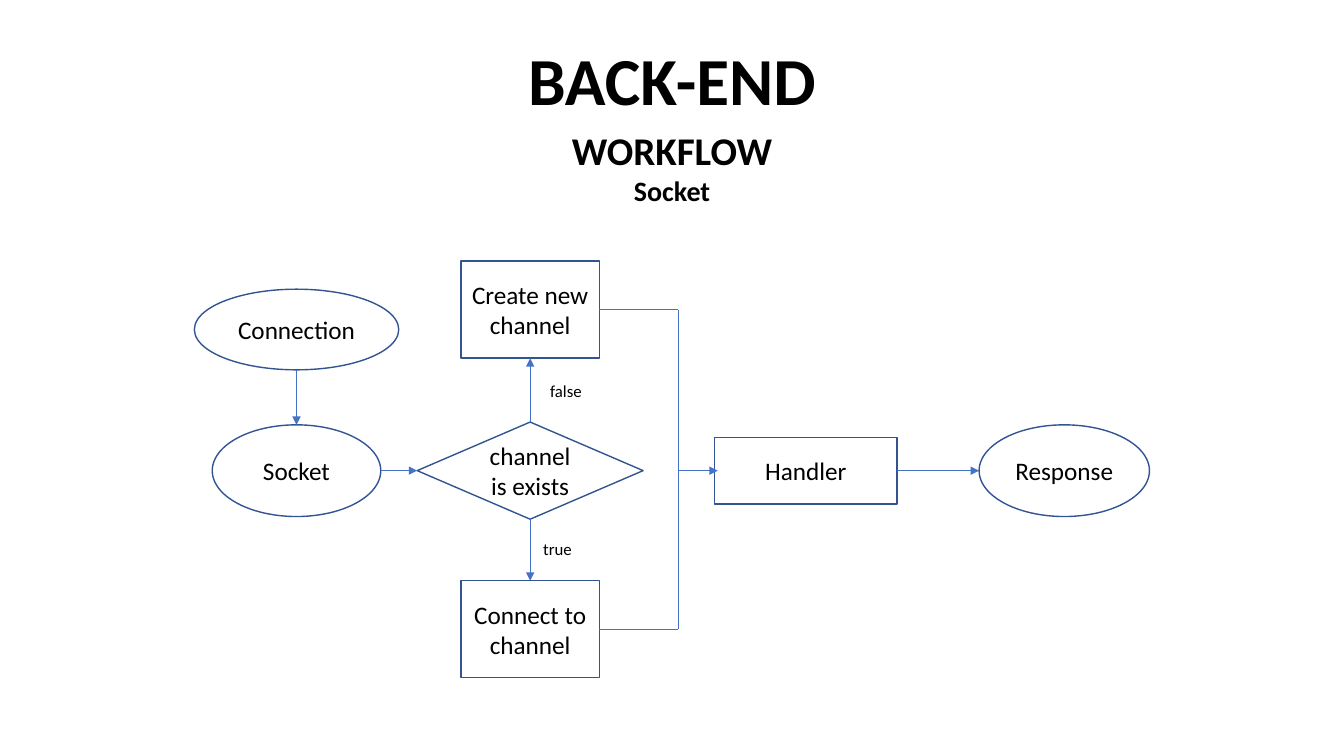
from lxml import etree
from pptx import Presentation
from pptx.dml import color as c
from pptx.enum import shapes, text
from pptx.oxml import ns
from pptx.util import Pt

BLACK = c.RGBColor(0x00, 0x00, 0x00)
OUTLINE = c.RGBColor(0x32, 0x54, 0x91)
ARROW = c.RGBColor(0x44, 0x72, 0xC4)

SLIDE = (960, 540)
OVAL = shapes.MSO_SHAPE.OVAL
BOX = shapes.MSO_SHAPE.RECTANGLE
DIAMOND = shapes.MSO_SHAPE.DIAMOND
CENTER = text.PP_ALIGN.CENTER
LEFT = text.PP_ALIGN.LEFT

HEADINGS = [
    ((37.2, 23.8, 885.6, 65.5), [("BACK-END", 48)]),
    ((223, 86.4, 514, 65.5), [("WORKFLOW", 28), ("Socket", 20)]),
]
BRANCH_LABELS = [
    ((380.9, 381.6, 35.3, 21.6), [("true", 12)]),
    ((385.9, 268.6, 40.3, 21.6), [("false", 12)]),
]
ENTRY_X, CHANNEL_X, HANDLER_X, RESPONSE_X = 211.8, 378.7, 575.7, 760.2
MAIN_Y, CREATE_Y, CONNECT_Y = 336.2, 221.2, 449.5
MERGE_X = 484.6
ARROW_OVERLAP = 2.2

STEPS = {
    "connection": (OVAL, "Connection", ENTRY_X, 235.4, 146, 57.6),
    "socket": (OVAL, "Socket", ENTRY_X, MAIN_Y, 120.4, 65.5),
    "exists": (DIAMOND, "channel is exists", CHANNEL_X, MAIN_Y, 161.4, 69.4),
    "create": (BOX, "Create new channel", CHANNEL_X, CREATE_Y, 98.8, 69.4),
    "connect": (BOX, "Connect to channel", CHANNEL_X, CONNECT_Y, 98.8, 69.4),
    "handler": (BOX, "Handler", HANDLER_X, MAIN_Y, 130.4, 47.6),
    "response": (OVAL, "Response", RESPONSE_X, MAIN_Y, 121.7, 65.5),
}
FLOWS = [
    ("connection", "bottom", "socket", "top"),
    ("socket", "right", "exists", "left"),
    ("exists", "top", "create", "bottom"),
    ("exists", "bottom", "connect", "top"),
    ("handler", "right", "response", "left"),
]
SIDES = {"left": (-0.5, 0), "right": (0.5, 0), "top": (0, -0.5), "bottom": (0, 0.5)}


def edge(step, side):
    x, y, width, height = STEPS[step][2:]
    across, down = SIDES[side]
    return x + across * width, y + down * height


def apply(target, values):
    for name, value in values.items():
        setattr(target, name, value)


def write(frame, lines, bold=False, align=CENTER):
    for index, (words, size) in enumerate(lines):
        paragraph = frame.add_paragraph() if index else frame.paragraphs[0]
        paragraph.alignment = align
        run = paragraph.add_run()
        run.text = words
        apply(run.font, {"name": "Calibri", "size": Pt(size), "bold": bold})
        run.font.color.rgb = BLACK


def add_label(slide, place, lines, wrap, bold, align):
    frame = slide.shapes.add_textbox(*map(Pt, place)).text_frame
    apply(frame, {"word_wrap": wrap, "auto_size": text.MSO_AUTO_SIZE.SHAPE_TO_FIT_TEXT})
    write(frame, lines, bold, align)


def add_step(slide, kind, words, x, y, width, height):
    place = (x - width / 2, y - height / 2, width, height)
    step = slide.shapes.add_shape(kind, *map(Pt, place))
    step.shadow.inherit = False
    step.fill.background()
    step.line.color.rgb = OUTLINE
    step.line.width = Pt(1)
    apply(step.text_frame, {"word_wrap": True, "vertical_anchor": text.MSO_ANCHOR.MIDDLE})
    write(step.text_frame, [(words, 18)])


def add_flow(slide, start, end, arrow=True):
    flow = slide.shapes.add_connector(shapes.MSO_CONNECTOR.STRAIGHT, *map(Pt, start + end))
    flow.line.color.rgb = ARROW
    flow.line.width = Pt(0.5)
    properties = flow.element.spPr
    if arrow:
        line = properties.find(ns.qn("a:ln"))
        etree.SubElement(line, ns.qn("a:tailEnd"), type="triangle")
    etree.SubElement(properties, ns.qn("a:effectLst"))


def main():
    deck = Presentation()
    apply(deck, dict(zip(("slide_width", "slide_height"), map(Pt, SLIDE))))
    slide = deck.slides.add_slide(deck.slide_layouts[6])

    for place, lines in HEADINGS:
        add_label(slide, place, lines, True, True, CENTER)
    for step in STEPS.values():
        add_step(slide, *step)
    for source, exit_side, target, entry_side in FLOWS:
        add_flow(slide, edge(source, exit_side), edge(target, entry_side))
    for place, lines in BRANCH_LABELS:
        add_label(slide, place, lines, False, False, LEFT)

    for source in ("create", "connect"):
        start = edge(source, "right")
        add_flow(slide, start, (MERGE_X, start[1]), arrow=False)
    add_flow(slide, (MERGE_X, CREATE_Y), (MERGE_X, CONNECT_Y), arrow=False)
    handler_x, handler_y = edge("handler", "left")
    add_flow(slide, (MERGE_X, MAIN_Y), (handler_x + ARROW_OVERLAP, handler_y))

    deck.save("out.pptx")


if __name__ == "__main__":
    main()
